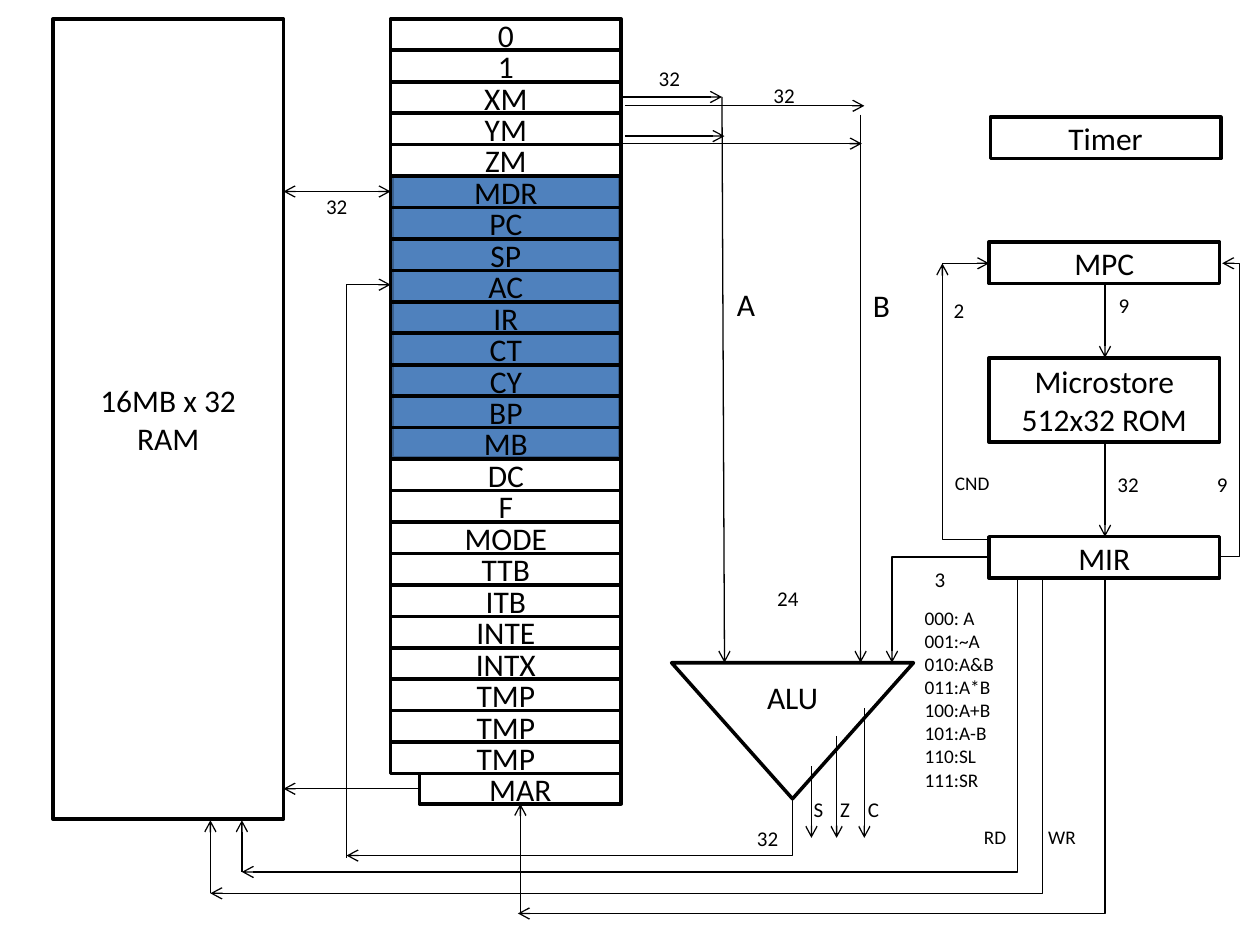
from lxml.etree import SubElement
from pptx import Presentation
from pptx.dml.color import RGBColor
from pptx.enum.shapes import MSO_CONNECTOR, MSO_SHAPE
from pptx.enum.text import MSO_ANCHOR, MSO_AUTO_SIZE, PP_ALIGN
from pptx.oxml.ns import qn
from pptx.util import Inches, Pt

BLACK, BLUE, BLUE_EDGE = "000000", "4F81BD", "3A5F8C"
FONT = "Calibri"

REGISTERS = ["0", "1", "XM", "YM", "ZM", "MDR", "PC", "SP", "AC", "IR", "CT", "CY",
             "BP", "MB", "DC", "F", "MODE", "TTB", "ITB", "INTE", "INTX",
             "TMP", "TMP", "TMP"]
REGISTER_LEFT, REGISTER_TOP, REGISTER_BOTTOM = 3.1, 0.15, 6.14
BLOCK_WIDTH = 1.83

# text, left, top, width, height
BLOCKS = [
    ("16MB x 32\nRAM", 0.42, 0.15, BLOCK_WIDTH, 6.35),
    ("MAR", 3.33, 6.14, 1.6, 0.24),
    ("Timer", 7.86, 0.93, BLOCK_WIDTH, 0.33),
    ("MPC", 7.85, 1.92, BLOCK_WIDTH, 0.33),
    ("Microstore\n512x32 ROM", 7.85, 2.84, BLOCK_WIDTH, 0.67),
    ("MIR", 7.85, 4.26, BLOCK_WIDTH, 0.33),
]

ALU_CODES = "000: A\n001:~A\n010:A&B\n011:A*B\n100:A+B\n101:A-B\n110:SL\n111:SR"
# text, size, left, top, width, height
LABELS = [
    ("32", 12, 8.77, 3.69, 0.37, 0.3), ("32", 12, 5.91, 6.5, 0.37, 0.3),
    ("32", 12, 5.13, 0.47, 0.37, 0.3), ("32", 12, 6.04, 0.61, 0.37, 0.3),
    ("32", 12, 2.49, 1.49, 0.37, 0.3), ("24", 12, 6.07, 4.6, 0.37, 0.3),
    ("9", 12, 8.78, 2.27, 0.29, 0.3), ("9", 12, 9.56, 3.69, 0.29, 0.3),
    ("3", 12, 7.32, 4.45, 0.29, 0.3), ("2", 12, 7.47, 2.31, 0.29, 0.3),
    ("S", 12, 6.36, 6.27, 0.29, 0.3), ("Z", 12, 6.57, 6.27, 0.29, 0.3),
    ("C", 12, 6.79, 6.27, 0.29, 0.3),
    ("A", 18, 5.75, 2.21, 0.35, 0.4), ("B", 18, 6.83, 2.22, 0.35, 0.4),
    ("RD", 11, 7.71, 6.5, 0.38, 0.29), ("WR", 11, 8.22, 6.5, 0.42, 0.29),
    ("CND", 11, 7.48, 3.69, 0.48, 0.29), (ALU_CODES, 11, 7.24, 4.76, 0.76, 1.58),
]

# start x, start y, end x, end y
ARROWS = [
    (8.77, 3.51, 8.77, 4.26), (8.77, 2.26, 8.77, 2.84),
    (4.92, 0.77, 5.73, 0.77), (4.96, 0.84, 6.86, 0.84),
    (4.96, 1.08, 5.75, 1.08), (4.94, 1.14, 6.84, 1.14),
    (5.73, 0.77, 5.75, 5.26), (6.83, 0.91, 6.83, 5.26),
    (3.33, 6.26, 2.25, 6.26), (4.13, 7.25, 4.13, 6.38),
    (1.92, 6.92, 1.92, 6.51), (1.67, 7.09, 1.67, 6.51),
    (7.48, 2.09, 7.85, 2.09),
    (6.44, 6.08, 6.44, 6.65), (6.64, 5.84, 6.64, 6.65), (6.86, 5.62, 6.86, 6.65),
]
MEMORY_BUS = (3.1, 1.52, 2.25, 1.52)

# start and end, leaves vertically, position of the middle segment (None: one corner)
ELBOWS = [
    ((6.29, 6.34, 2.75, 6.79), True, None),
    ((2.75, 6.81, 3.1, 2.26), True, None),
    ((8.77, 4.59, 4.11, 7.25), True, None),
    ((7.85, 4.42, 7.08, 5.26), False, None),
    ((8.09, 4.6, 1.92, 6.92), False, 8.08),
    ((8.26, 4.58, 1.67, 7.09), False, 8.27),
    ((7.85, 4.25, 7.48, 2.09), True, 4.28),
    ((9.69, 4.42, 9.7, 2.09), False, 9.84),
]


def color(value):
    """Turn a hex string into a colour."""
    return RGBColor.from_string(value)


def write(shape, text, size, alignment):
    """Put text into a shape, one paragraph a line."""
    shape.text_frame.text = text
    for paragraph in shape.text_frame.paragraphs:
        paragraph.alignment = alignment
        paragraph.font.name = FONT
        paragraph.font.size = Pt(size)
        paragraph.font.color.rgb = color(BLACK)


def add_block(slide, text, left, top, width, height,
              kind=MSO_SHAPE.RECTANGLE, fill=None, edge=BLACK):
    """Add an outlined shape with centred text."""
    shape = slide.shapes.add_shape(kind, *map(Inches, (left, top, width, height)))
    shape.shadow.inherit = False
    if fill:
        shape.fill.solid()
        shape.fill.fore_color.rgb = color(fill)
    else:
        shape.fill.background()
    shape.line.color.rgb = color(edge)
    shape.line.width = Pt(2)
    if text:
        shape.text_frame.vertical_anchor = MSO_ANCHOR.MIDDLE
        write(shape, text, 18, PP_ALIGN.CENTER)


def add_label(slide, text, size, *box):
    """Add an unwrapped text box."""
    shape = slide.shapes.add_textbox(*map(Inches, box))
    shape.text_frame.word_wrap = False
    shape.text_frame.auto_size = MSO_AUTO_SIZE.SHAPE_TO_FIT_TEXT
    write(shape, text, size, PP_ALIGN.LEFT)


def add_arrow(slide, points, kind=MSO_CONNECTOR.STRAIGHT, both_ends=False):
    """Add a thin connector with an open arrowhead."""
    connector = slide.shapes.add_connector(kind, *map(Inches, points))
    connector.line.color.rgb = color(BLACK)
    connector.line.width = Pt(0.75)
    line = connector.line._get_or_add_ln()
    for end in ("headEnd", "tailEnd") if both_ends else ("tailEnd",):
        SubElement(line, qn("a:" + end), type="arrow")
    SubElement(connector._element.spPr, qn("a:effectLst"))
    return connector


def add_elbow(slide, points, vertical, middle):
    """Add a bent arrow; one that leaves vertically is a quarter turn of a flat one."""
    x1, y1, x2, y2 = points
    start, end = (y1, y2) if vertical else (x1, x2)
    if vertical:
        center_x, center_y = (x1 + x2) / 2, (y1 + y2) / 2
        half_x, half_y = (y2 - y1) / 2, (x1 - x2) / 2
        points = (center_x - half_x, center_y - half_y,
                  center_x + half_x, center_y + half_y)
    connector = add_arrow(slide, points, MSO_CONNECTOR.ELBOW)
    properties = connector._element.spPr
    if vertical:
        properties.find(qn("a:xfrm")).set("rot", str(90 * 60000))
    geometry = properties.find(qn("a:prstGeom"))
    if middle is None:
        geometry.set("prst", "bentConnector2")
    else:
        ratio = round((middle - start) / (end - start) * 100000)
        SubElement(geometry.find(qn("a:avLst")), qn("a:gd"),
                   name="adj1", fmla=f"val {ratio}")


presentation = Presentation()
presentation.slide_width, presentation.slide_height = Inches(10), Inches(7.5)
slide = presentation.slides.add_slide(presentation.slide_layouts[6])

add_block(slide, "", 3.11, 1.4, 1.81, 2.23, fill=BLUE, edge=BLUE_EDGE)
row_height = (REGISTER_BOTTOM - REGISTER_TOP) / len(REGISTERS)
for row, register in enumerate(REGISTERS):
    add_block(slide, register, REGISTER_LEFT, REGISTER_TOP + row * row_height,
              BLOCK_WIDTH, row_height)
for block in BLOCKS:
    add_block(slide, *block)
add_block(slide, "ALU", 5.33, 5.26, 1.92, 1.08, kind=MSO_SHAPE.FLOWCHART_MERGE)
for arrow in ARROWS:
    add_arrow(slide, arrow)
add_arrow(slide, MEMORY_BUS, both_ends=True)
for elbow in ELBOWS:
    add_elbow(slide, *elbow)
for label in LABELS:
    add_label(slide, *label)

presentation.save("out.pptx")
